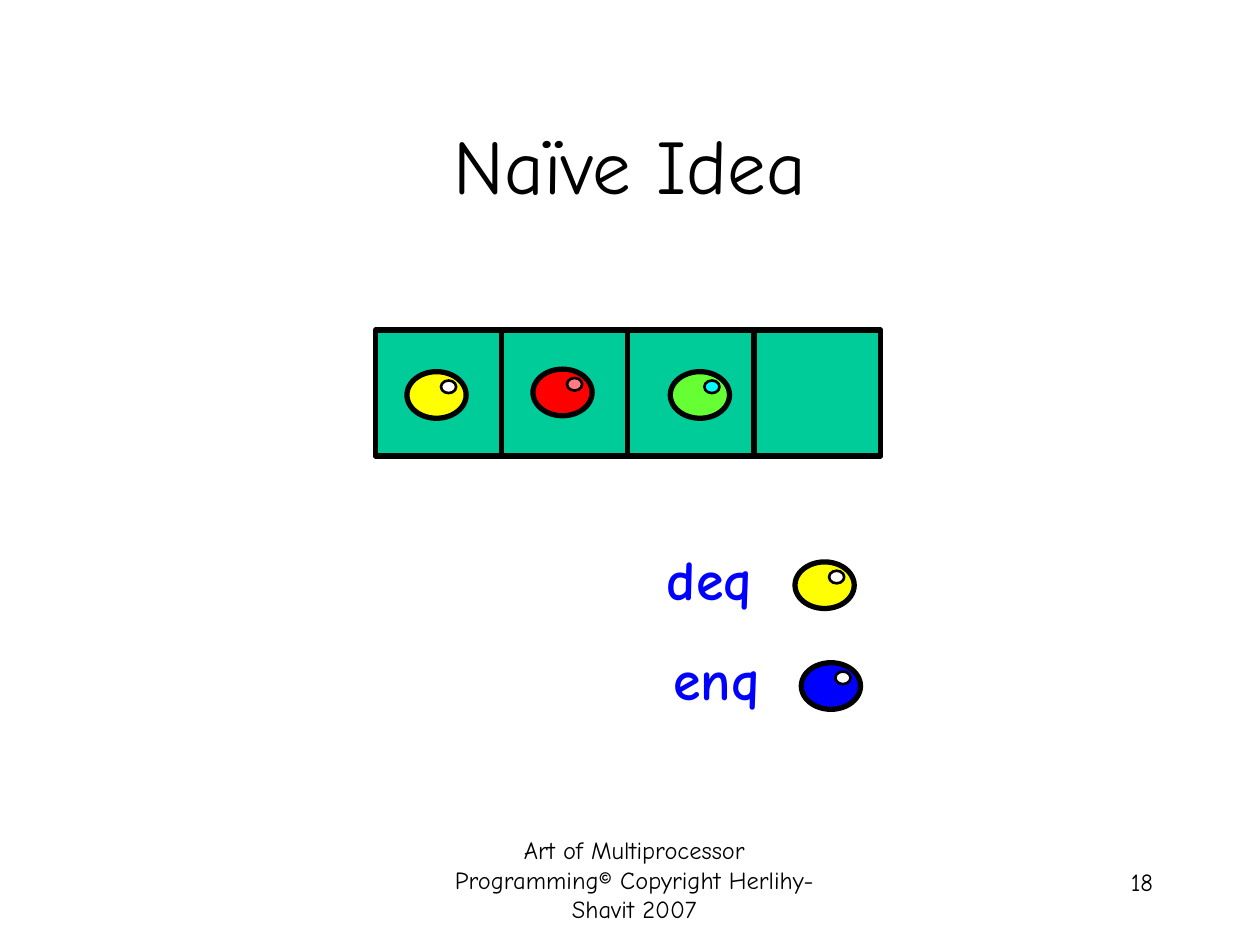
from dataclasses import dataclass

from lxml.etree import SubElement
from pptx import Presentation
from pptx.dml.color import RGBColor
from pptx.enum.shapes import MSO_CONNECTOR, MSO_SHAPE
from pptx.enum.text import MSO_ANCHOR, MSO_AUTO_SIZE, PP_ALIGN
from pptx.oxml.ns import qn
from pptx.util import Inches, Pt

BLACK = RGBColor(0x00, 0x00, 0x00)
WHITE = RGBColor(0xFF, 0xFF, 0xFF)
TEAL = RGBColor(0x00, 0xCC, 0x99)
YELLOW = RGBColor(0xFF, 0xFF, 0x00)
RED = RGBColor(0xFF, 0x00, 0x00)
PINK = RGBColor(0xFF, 0x7C, 0x80)
GREEN = RGBColor(0x66, 0xFF, 0x33)
CYAN = RGBColor(0x00, 0xFF, 0xFF)
BLUE = RGBColor(0x00, 0x00, 0xFF)

FONT = "Comic Neue"
QUEUE_LEFT, QUEUE_TOP, CELL = 2.98, 2.62, 1.0
THICK, THIN = 3, 1.5


@dataclass(frozen=True)
class Ball:
    left: float
    top: float
    color: RGBColor
    shine: RGBColor


@dataclass(frozen=True)
class Label:
    text: str
    left: float
    top: float
    width: float
    height: float
    size: float
    align: PP_ALIGN
    color: RGBColor = BLACK
    bold: bool = False
    wrap: bool = True
    anchor: MSO_ANCHOR = MSO_ANCHOR.TOP


QUEUED = [
    Ball(5.32, 2.95, GREEN, CYAN),
    Ball(4.23, 2.93, RED, PINK),
    Ball(3.23, 2.95, YELLOW, WHITE),
]
CALL_STYLE = {"size": 32, "align": PP_ALIGN.RIGHT, "color": BLUE,
              "bold": True, "wrap": False}
CALLS = [
    (Label("enq", 5.24, 5.07, 0.89, 0.64, **CALL_STYLE), Ball(6.36, 5.26, BLUE, WHITE)),
    (Label("deq", 5.19, 4.27, 0.88, 0.64, **CALL_STYLE), Ball(6.31, 4.46, YELLOW, WHITE)),
]
PAGE_TEXTS = [
    Label("Art of Multiprocessor Programming© Copyright Herlihy-Shavit 2007",
          3.45, 6.58, 3.17, 0.5, 14, PP_ALIGN.CENTER),
    Label("18", 7.17, 6.83, 2.08, 0.5, 14, PP_ALIGN.RIGHT),
    Label("Naïve Idea", 0.75, 0.67, 8.5, 1.25, 44, PP_ALIGN.CENTER,
          anchor=MSO_ANCHOR.MIDDLE),
]


def add_label(shapes, label: Label) -> None:
    box = shapes.add_textbox(Inches(label.left), Inches(label.top),
                             Inches(label.width), Inches(label.height))
    frame = box.text_frame
    frame.word_wrap = label.wrap
    frame.vertical_anchor = label.anchor
    if not label.wrap:
        frame.auto_size = MSO_AUTO_SIZE.SHAPE_TO_FIT_TEXT
    paragraph = frame.paragraphs[0]
    paragraph.alignment = label.align
    run = paragraph.add_run()
    run.text = label.text
    font_format = {"name": FONT, "size": Pt(label.size), "bold": label.bold}
    for attribute, value in font_format.items():
        setattr(run.font, attribute, value)
    run.font.color.rgb = label.color


def add_outlined(shapes, kind: MSO_SHAPE, left: float, top: float, width: float,
                 height: float, color: RGBColor, weight: float) -> None:
    shape = shapes.add_shape(kind, Inches(left), Inches(top),
                             Inches(width), Inches(height))
    shape.shadow.inherit = False
    shape.fill.solid()
    shape.fill.fore_color.rgb = color
    shape.line.color.rgb = BLACK
    shape.line.width = Pt(weight)


def add_cell(shapes, left: float) -> None:
    add_outlined(shapes, MSO_SHAPE.RECTANGLE, left, QUEUE_TOP, CELL, CELL, TEAL, THICK)


def add_ball(shapes, ball: Ball) -> None:
    add_outlined(shapes, MSO_SHAPE.OVAL, ball.left, ball.top,
                 0.47, 0.37, ball.color, THICK)
    add_outlined(shapes, MSO_SHAPE.OVAL, ball.left + 0.27, ball.top + 0.07,
                 0.12, 0.1, ball.shine, THIN)


def add_edge(shapes, left: float, top: float, length: float) -> None:
    edge = shapes.add_connector(MSO_CONNECTOR.STRAIGHT, Inches(left), Inches(top),
                                Inches(left + length), Inches(top))
    edge.line.color.rgb = BLACK
    edge.line.width = Pt(THICK)
    SubElement(edge._element.spPr, qn("a:effectLst"))


def main() -> None:
    deck = Presentation()
    deck.slide_width, deck.slide_height = Inches(10), Inches(7.5)
    shapes = deck.slides.add_slide(deck.slide_layouts[6]).shapes

    # Footer, page number and title
    for label in PAGE_TEXTS:
        add_label(shapes, label)

    # Queue: filled cells, open edges, balls, then the free cell
    for index in range(3):
        add_cell(shapes, QUEUE_LEFT + index * CELL)
    for top in (QUEUE_TOP, QUEUE_TOP + CELL):
        add_edge(shapes, 5.9, top, CELL)
    for ball in QUEUED:
        add_ball(shapes.add_group_shape().shapes, ball)
    add_cell(shapes, 5.99)

    # Calls with the ball each one moves
    for label, ball in CALLS:
        call = shapes.add_group_shape().shapes
        add_label(call, label)
        add_ball(call, ball)

    deck.save("out.pptx")


if __name__ == "__main__":
    main()
